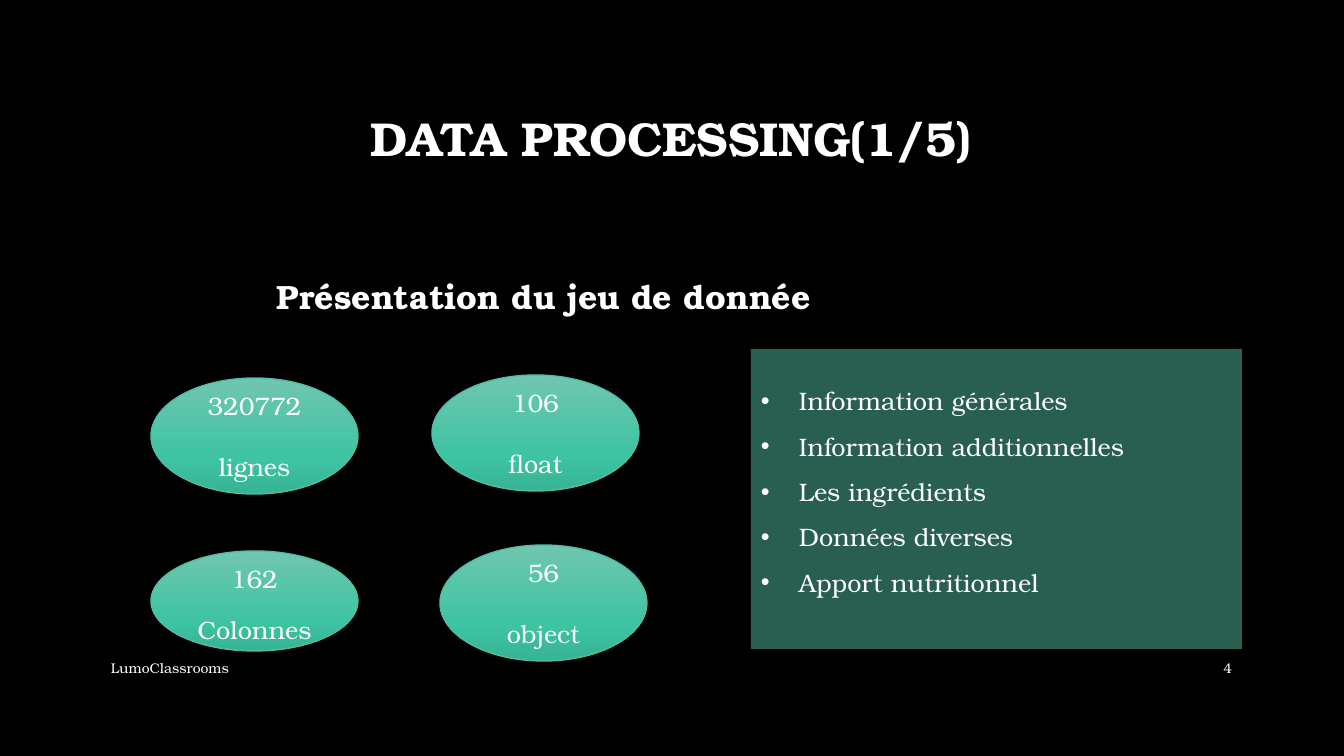
from copy import deepcopy
from dataclasses import dataclass

from lxml import etree
from pptx import Presentation
from pptx.dml.color import RGBColor
from pptx.enum.shapes import MSO_SHAPE
from pptx.enum.text import MSO_ANCHOR, MSO_AUTO_SIZE, PP_ALIGN
from pptx.oxml.ns import qn
from pptx.util import Pt

PX = 914400 / 100.8
OVAL, RECTANGLE = MSO_SHAPE.OVAL, MSO_SHAPE.RECTANGLE
LEFT, CENTER, RIGHT = PP_ALIGN.LEFT, PP_ALIGN.CENTER, PP_ALIGN.RIGHT
MIDDLE, BOTTOM = MSO_ANCHOR.MIDDLE, MSO_ANCHOR.BOTTOM
NO_FIT = MSO_AUTO_SIZE.NONE


@dataclass(frozen=True)
class Theme:
    """Colours, font and type sizes of the slide."""
    font: str = "TeX Gyre Bonum"
    background: str = "000000"
    text: str = "FFFFFF"
    accent: str = "50BEA3"
    gradient: tuple = ((0, "70C6AF"), (0.69, "3EC4A3"), (1, "37B395"))
    panel_opacity: int = 50
    title: int = 34
    subtitle: int = 24
    body: int = 18
    footer: int = 10


THEME = Theme()
FACTS = [
    ((151, 378, 207, 116), ("320772", "lignes"), False),
    ((151, 551, 207, 100), ("162", "Colonnes"), True),
    ((432, 375, 207, 116), ("106", "float"), False),
    ((440, 545, 207, 116), ("56", "object"), False),
]
TOPICS = ["Information générales", "Information additionnelles", "Les ingrédients",
          "Données diverses", "Apport nutritionnel"]


def px(length):
    """Turn a length in px into EMU."""
    return round(length * PX)


def set_all(item, values):
    """Set every attribute named in a dict of format values."""
    for name, value in values.items():
        setattr(item, name, value)


def place(shape, box):
    """Move a shape to a box given in px."""
    set_all(shape, dict(zip(("left", "top", "width", "height"), map(px, box))))


def write(shape, lines, size, bold=False, anchor=MIDDLE, **para_format):
    """Write the lines into a shape and return its paragraphs."""
    frame = shape.text_frame
    set_all(frame, {"word_wrap": True, "auto_size": NO_FIT, "vertical_anchor": anchor})
    frame.text = "\n".join(lines)
    for para in frame.paragraphs:
        set_all(para, para_format)
        for span in para.runs:
            set_all(span.font, {"name": THEME.font, "size": Pt(size), "bold": bold})
            span.font.color.rgb = RGBColor.from_string(THEME.text)
    return frame.paragraphs


def add_label(page, box, text, size, **formats):
    """Add a line of plain text in the box."""
    label = page.shapes.add_textbox(*map(px, box))
    write(label, [text], size, **formats)


def add_title(page, box, text):
    """Place the title placeholder in the box."""
    title = page.shapes.title
    place(title, box)
    write(title, [text], THEME.title, bold=True, alignment=CENTER, line_spacing=0.9)


def fill_gradient(shape):
    """Fill a shape with the vertical theme gradient."""
    shape.fill.gradient()
    shape.fill.gradient_angle = 270
    stop_list = shape._element.spPr.find(qn("a:gradFill")).find(qn("a:gsLst"))
    stop_list.append(deepcopy(stop_list[-1]))
    for stop, (position, color) in zip(shape.fill.gradient_stops, THEME.gradient):
        stop.position = position
        stop.color.rgb = RGBColor.from_string(color)


def add_fact(page, box, lines, compact):
    """Add an ellipse holding a count above its unit."""
    ellipse = page.shapes.add_shape(OVAL, *map(px, box))
    ellipse.shadow.inherit = False
    fill_gradient(ellipse)
    ellipse.line.color.rgb = RGBColor.from_string(THEME.accent)
    ellipse.line.width = Pt(1)
    spacing = {"line_spacing": 1.2, "space_before": Pt(10)} if compact else {}
    paras = write(ellipse, lines, THEME.body, alignment=CENTER, **spacing)
    if not compact:
        paras[1].space_before = Pt(22)


def add_topics(page, box, topics):
    """Add the translucent panel with its bulleted topics."""
    panel = page.shapes.add_shape(RECTANGLE, *map(px, box))
    panel.shadow.inherit = False
    panel.fill.solid()
    panel.fill.fore_color.rgb = RGBColor.from_string(THEME.accent)
    color = panel._element.spPr.find(qn("a:solidFill"))[0]
    etree.SubElement(color, qn("a:alpha"), val=str(THEME.panel_opacity * 1000))
    panel.line.fill.background()
    panel.text_frame.margin_bottom = px(35)
    for para in write(panel, topics, THEME.body, alignment=LEFT, line_spacing=1.5):
        properties = para._p.get_or_add_pPr()
        properties.set("marL", str(px(38)))
        properties.set("indent", str(-px(38)))
        etree.SubElement(properties, qn("a:buFont"), typeface="Arial")
        etree.SubElement(properties, qn("a:buChar"), char="•")


def add_footer(page, box, owner, number):
    """Add the owner at the left and the page number at the right of the box."""
    left, top, width, height = box
    number_width = 83
    add_label(page, (left, top, 736, height), owner, THEME.footer, alignment=LEFT)
    number_box = (left + width - number_width, top, number_width, height)
    add_label(page, number_box, number, THEME.footer, alignment=RIGHT)


def main():
    """Build the slide and save the deck."""
    deck = Presentation()
    set_all(deck, {"slide_width": px(1344), "slide_height": px(756)})
    page = deck.slides.add_slide(deck.slide_layouts.get_by_name("Title Only"))
    page.background.fill.solid()
    page.background.fill.fore_color.rgb = RGBColor.from_string(THEME.background)
    add_title(page, (101, 68, 1141, 146), "DATA PROCESSING(1/5)")
    add_label(page, (126, 230, 836, 91), "Présentation du jeu de donnée", THEME.subtitle,
              bold=True, anchor=BOTTOM, alignment=CENTER)
    add_footer(page, (101, 648, 1141, 40), "LumoClassrooms", "4")
    for box, lines, compact in FACTS:
        add_fact(page, box, lines, compact)
    add_topics(page, (751, 349, 491, 300), TOPICS)
    deck.save("out.pptx")


if __name__ == "__main__":
    main()
